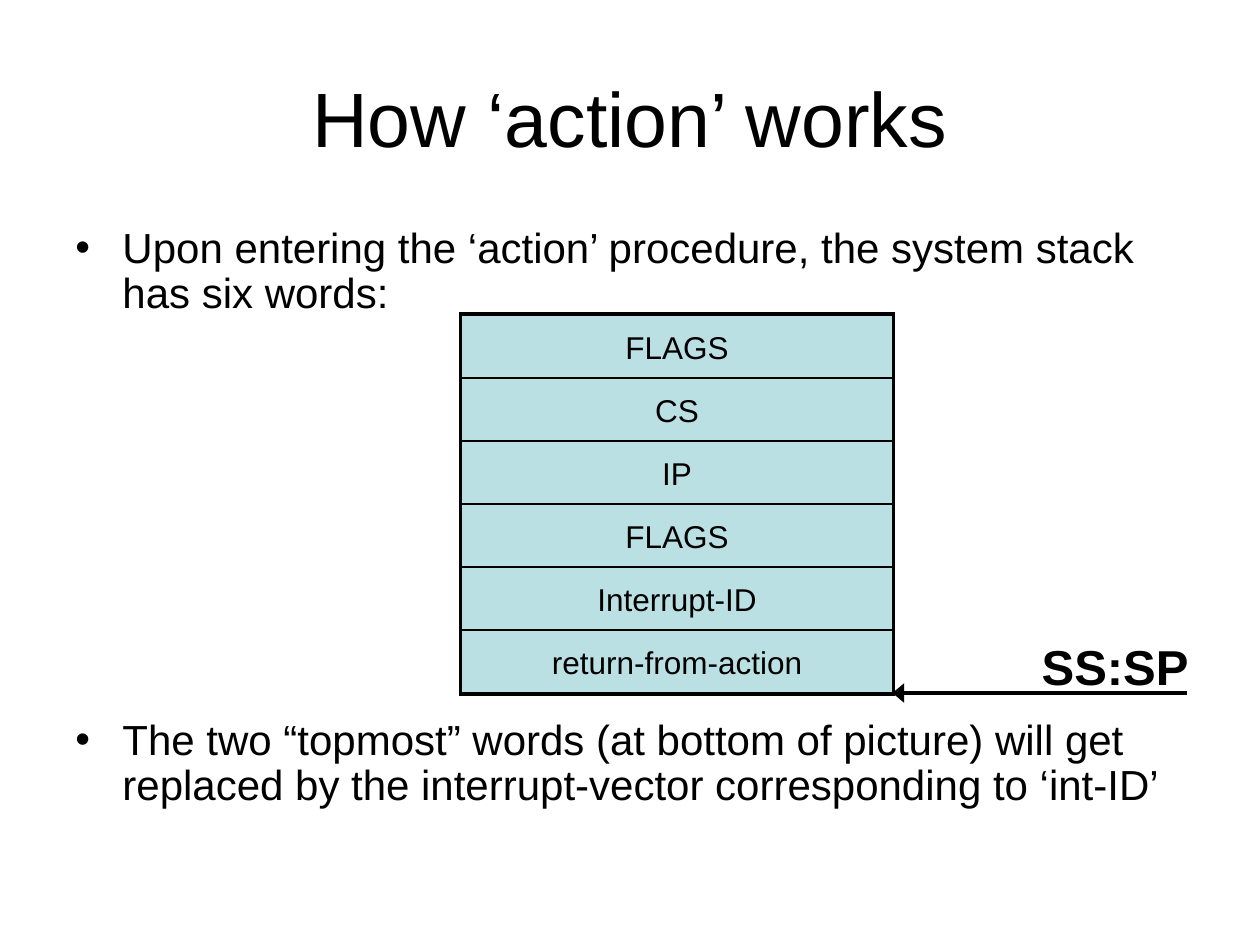
from lxml.etree import SubElement
from pptx import Presentation
from pptx.dml.color import RGBColor
from pptx.enum.shapes import MSO_CONNECTOR, MSO_SHAPE
from pptx.enum.text import MSO_ANCHOR, MSO_AUTO_SIZE, PP_ALIGN
from pptx.oxml.ns import qn
from pptx.util import Cm, Pt

BLACK = "000000"
PALE_TEAL = "BBE0E3"
STACK_LEFT, STACK_TOP, STACK_WIDTH, WORD_HEIGHT = 9.31, 6.35, 8.68, 1.27
STACK_WORDS = ["FLAGS", "CS", "IP", "FLAGS", "Interrupt-ID", "return-from-action"]
WORDS_PER_GROUP = 3
BULLETS = [
    ("Upon entering the ‘action’ procedure, the system stack has six words:", 6),
    ("The two “topmost” words (at bottom of picture) will get replaced by "
     "the interrupt-vector corresponding to ‘int-ID’", 229.5),
]


def colour(value):
    """Turn a hex string into a colour."""
    return RGBColor.from_string(value)


def set_font(paragraph, size, bold=False):
    """Format a whole paragraph in black Arial."""
    font = paragraph.font
    font.name, font.size, font.bold = "Arial", Pt(size), bold
    font.color.rgb = colour(BLACK)


def add_title(slide, text):
    """Place and format the slide title."""
    title = slide.shapes.title
    title.left, title.top, title.width, title.height = Cm(1.27), Cm(0.76), Cm(22.86), Cm(3.18)
    title.text_frame.text = text
    title.text_frame.vertical_anchor = MSO_ANCHOR.MIDDLE
    heading = title.text_frame.paragraphs[0]
    heading.alignment = PP_ALIGN.CENTER
    set_font(heading, 44)


def add_bullets(slide, bullets):
    """Add the bulleted body, with the spacing that precedes each point."""
    body = slide.shapes.add_textbox(Cm(1.27), Cm(4.45), Cm(22.86), Cm(12.57)).text_frame
    body.word_wrap = True
    for index, (text, space_before) in enumerate(bullets):
        point = body.add_paragraph() if index else body.paragraphs[0]
        point.text = text
        point.line_spacing = 0.9
        point.space_before = Pt(space_before)
        set_font(point, 24)
        properties = point._p.get_or_add_pPr()
        properties.set("marL", str(Cm(0.95)))
        properties.set("indent", str(-Cm(0.95)))
        for tag, key, value in (("a:buFont", "typeface", "Arial"), ("a:buChar", "char", "•")):
            bullet = SubElement(properties, qn(tag))
            bullet.set(key, value)
            properties.insert_element_before(bullet, "a:tabLst", "a:defRPr", "a:extLst")


def add_stack_box(slide, top, height, line_width, text=""):
    """Add one box of the stack, centred on its text."""
    box = slide.shapes.add_shape(
        MSO_SHAPE.RECTANGLE, Cm(STACK_LEFT), Cm(top), Cm(STACK_WIDTH), Cm(height))
    box.shadow.inherit = False
    box.fill.solid()
    box.fill.fore_color.rgb = colour(PALE_TEAL)
    box.line.color.rgb = colour(BLACK)
    box.line.width = Pt(line_width)
    SubElement(box.line._get_or_add_ln(), qn("a:miter")).set("lim", "800000")
    if text:
        frame = box.text_frame
        frame.text = text
        frame.word_wrap = False
        frame.vertical_anchor = MSO_ANCHOR.MIDDLE
        frame.paragraphs[0].alignment = PP_ALIGN.CENTER
        set_font(frame.paragraphs[0], 18)


def add_stack(slide, words):
    """Draw the thick group frames, then one box for each word."""
    for first in range(0, len(words), WORDS_PER_GROUP):
        add_stack_box(slide, STACK_TOP + first * WORD_HEIGHT, WORDS_PER_GROUP * WORD_HEIGHT, 3)
    for index, word in enumerate(words):
        add_stack_box(slide, STACK_TOP + index * WORD_HEIGHT, WORD_HEIGHT, 0.75, word)


def add_pointer(slide, label):
    """Add the labelled arrow to the bottom of the stack."""
    bottom = STACK_TOP + len(STACK_WORDS) * WORD_HEIGHT
    arrow = slide.shapes.add_connector(
        MSO_CONNECTOR.STRAIGHT, Cm(STACK_LEFT + STACK_WIDTH), Cm(bottom), Cm(23.92), Cm(bottom))
    arrow.line.color.rgb = colour(BLACK)
    arrow.line.width = Pt(2.25)
    head = SubElement(arrow.line._get_or_add_ln(), qn("a:headEnd"))
    head.set("type", "triangle")
    head.set("w", "lg")
    SubElement(arrow._element.spPr, qn("a:effectLst"))
    caption = slide.shapes.add_textbox(Cm(20.75), Cm(12.7), Cm(3.55), Cm(1.45)).text_frame
    caption.text = label
    caption.word_wrap = False
    caption.auto_size = MSO_AUTO_SIZE.SHAPE_TO_FIT_TEXT
    set_font(caption.paragraphs[0], 28, bold=True)


def main():
    """Build the slide and save it."""
    presentation = Presentation()
    presentation.slide_width, presentation.slide_height = Cm(25.4), Cm(19.05)
    slide = presentation.slides.add_slide(presentation.slide_layouts[5])
    add_bullets(slide, BULLETS)
    add_title(slide, "How ‘action’ works")
    add_stack(slide, STACK_WORDS)
    add_pointer(slide, "SS:SP")
    presentation.save("out.pptx")


main()
